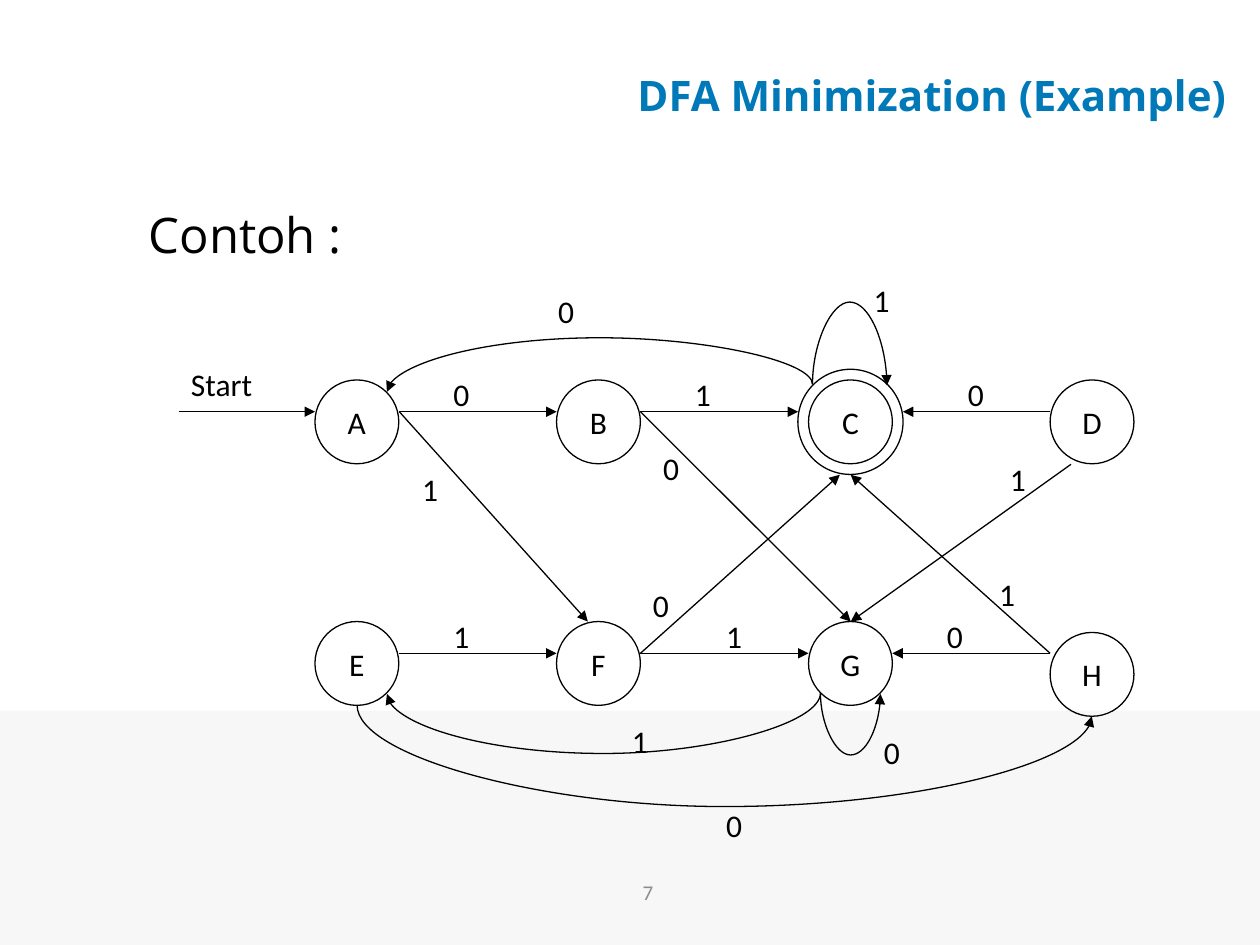
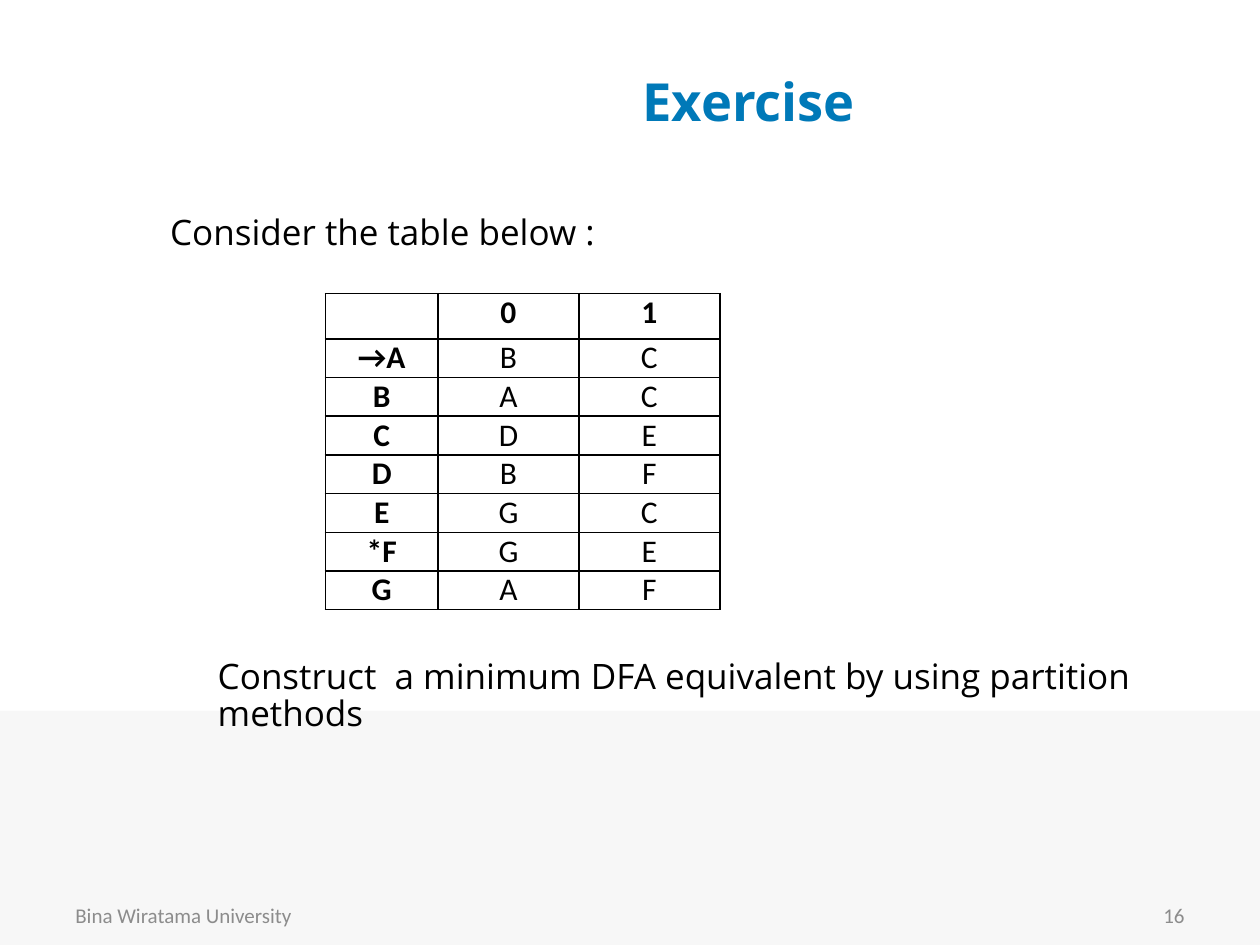
from lxml.etree import SubElement
from pptx import Presentation
from pptx.dml.color import RGBColor
from pptx.enum.shapes import MSO_CONNECTOR, MSO_SHAPE
from pptx.enum.text import MSO_ANCHOR, PP_ALIGN
from pptx.oxml.ns import qn
from pptx.util import Cm, Pt

# Shared look
BLACK = RGBColor(0x00, 0x00, 0x00)
BLUE = RGBColor(0x00, 0x79, 0xB8)
GREY = RGBColor(0x8C, 0x8C, 0x8C)
PALE = RGBColor(0xF7, 0xF7, 0xF7)
SLIDE_WIDTH, SLIDE_HEIGHT = 25.4, 19.05
BAND_TOP = 14.33
LABEL = {"name": "Calibri", "size": Pt(18), "color": BLACK}
FOOTER = {"name": "Calibri", "size": Pt(12), "color": GREY}
BODY = {"name": "Open Sans", "size": Pt(20), "color": BLACK}
TITLE = {"name": "Open Sans", "bold": True, "color": BLUE}

# Automaton: state name -> left, top of its circle (cm)
DIAMETER, RING = 1.69, 2.12
COLUMNS = (6.35, 11.22, 16.3, 21.17)
UPPER, LOWER = 7.66, 12.53
STATES = {name: (left, top)
          for names, top in (("ABCD", UPPER), ("EFGH", LOWER))
          for name, left in zip(names, COLUMNS)}
STATES["H"] = (COLUMNS[3], 12.75)
UPPER_LINE, LOWER_LINE = 8.3, 13.17

# Straight transitions: x1, y1, x2, y2
ARROWS = [
    (3.6, UPPER_LINE, 6.35, UPPER_LINE),
    (8.05, UPPER_LINE, 11.22, UPPER_LINE),
    (12.91, UPPER_LINE, 16.09, UPPER_LINE),
    (21.17, UPPER_LINE, 18.2, UPPER_LINE),
    (8.05, LOWER_LINE, 11.22, LOWER_LINE),
    (12.91, LOWER_LINE, 16.3, LOWER_LINE),
    (21.17, LOWER_LINE, 17.99, LOWER_LINE),
    (8.05, UPPER_LINE, 11.85, LOWER),
    (12.91, UPPER_LINE, 17.15, LOWER),
    (12.91, LOWER_LINE, 16.93, 9.57),
    (21.59, 9.36, 17.15, LOWER),
    (21.17, LOWER_LINE, 17.15, 9.57),
]
# Curved transitions: x1, y1, x2, y2, height of the turning point
CURVES = [
    (7.2, 14.22, 22.01, 14.44, 16.26),
    (16.54, 13.97, 7.8, 13.99, 15.19),
    (16.38, 7.75, 7.8, 7.9, 6.81),
    (16.38, 7.75, 17.88, 7.77, 6.09),
    (16.54, 13.97, 17.75, 13.99, 15.22),
]
# Transition labels: symbol -> left, top
SYMBOLS = {
    "0": [(11, 5.77), (8.89, 7.44), (19.26, 7.44), (13.12, 8.93),
          (12.91, 11.68), (14.39, 16.13), (17.57, 14.65), (18.84, 12.32)],
    "1": [(8.26, 9.36), (8.89, 12.32), (13.76, 7.44), (17.36, 5.55),
          (20.11, 9.14), (19.89, 11.47), (14.39, 12.32), (12.49, 14.44)],
}

# Transition table of the exercise
TRANSITIONS = [
    ("", "0", "1"),
    ("→A", "B", "C"),
    ("B", "A", "C"),
    ("C", "D", "E"),
    ("D", "B", "F"),
    ("E", "G", "C"),
    ("*F", "G", "E"),
    ("G", "A", "F"),
]
COLUMN_WIDTHS = (2.27, 2.84, 2.84)
HEADER_HEIGHT, ROW_HEIGHT = 0.91, 0.78


def write(frame, text, style, align=PP_ALIGN.LEFT, anchor=MSO_ANCHOR.TOP, spacing=None):
    frame.word_wrap = True
    frame.vertical_anchor = anchor
    paragraph = frame.paragraphs[0]
    paragraph.alignment = align
    paragraph.line_spacing = spacing
    run = paragraph.add_run()
    run.text = text
    for attribute, value in style.items():
        if attribute == "color":
            run.font.color.rgb = value
        else:
            setattr(run.font, attribute, value)


def add_text(slide, text, box, style, **layout):
    shape = slide.shapes.add_textbox(*map(Cm, box))
    write(shape.text_frame, text, style, **layout)


def add_slide(presentation, title, box, size, align):
    slide = presentation.slides.add_slide(presentation.slide_layouts[5])
    band = slide.shapes.add_shape(
        MSO_SHAPE.RECTANGLE, 0, Cm(BAND_TOP), Cm(SLIDE_WIDTH), Cm(SLIDE_HEIGHT - BAND_TOP))
    band.shadow.inherit = False
    band.fill.solid()
    band.fill.fore_color.rgb = PALE
    band.line.fill.background()
    heading = slide.shapes.title
    heading.left, heading.top, heading.width, heading.height = map(Cm, box)
    write(heading.text_frame, title, TITLE | {"size": Pt(size)}, align, MSO_ANCHOR.MIDDLE)
    return slide


def add_circle(slide, left, top, diameter, name=""):
    circle = slide.shapes.add_shape(
        MSO_SHAPE.OVAL, Cm(left), Cm(top), Cm(diameter), Cm(diameter))
    circle.shadow.inherit = False
    circle.fill.background()
    circle.line.color.rgb = BLACK
    circle.line.width = Pt(0.75)
    if name:
        write(circle.text_frame, name, LABEL, PP_ALIGN.CENTER, MSO_ANCHOR.MIDDLE)


def add_arrow(slide, kind, *ends):
    arrow = slide.shapes.add_connector(kind, *map(Cm, ends))
    arrow.line.color.rgb = BLACK
    arrow.line.width = Pt(0.75)
    properties = arrow.element.spPr
    SubElement(properties.find(qn("a:ln")), qn("a:tailEnd"), type="triangle")
    SubElement(properties, qn("a:effectLst"))
    return arrow


def add_curve(slide, x1, y1, x2, y2, turn):
    # A quarter turn makes the curve leave and arrive vertically
    length, span = y2 - y1, abs(x2 - x1)
    left, top = (x1 + x2 - length) / 2, (y1 + y2 - span) / 2
    curve = add_arrow(slide, MSO_CONNECTOR.CURVE, left, top, left + length, top + span)
    properties = curve.element.spPr
    frame = properties.find(qn("a:xfrm"))
    frame.set("rot", str(90 * 60000))
    if x2 > x1:
        frame.set("flipV", "1")
    geometry = properties.find(qn("a:prstGeom"))
    adjustments = geometry.find(qn("a:avLst"))
    if adjustments is None:
        adjustments = SubElement(geometry, qn("a:avLst"))
    ratio = round((turn - y1) / length * 100000)
    SubElement(adjustments, qn("a:gd"), name="adj1", fmla=f"val {ratio}")


def add_borders(cell):
    properties = cell._tc.get_or_add_tcPr()
    for position, side in enumerate(("lnL", "lnR", "lnT", "lnB")):
        line = SubElement(properties, qn(f"a:{side}"), w=str(Pt(1)))
        fill = SubElement(line, qn("a:solidFill"))
        SubElement(fill, qn("a:srgbClr"), val=str(BLACK))
        properties.insert(position, line)


def add_transition_table(slide, left, top):
    height = HEADER_HEIGHT + ROW_HEIGHT * (len(TRANSITIONS) - 1)
    table = slide.shapes.add_table(
        len(TRANSITIONS), len(COLUMN_WIDTHS),
        Cm(left), Cm(top), Cm(sum(COLUMN_WIDTHS)), Cm(height)).table
    for column, width in zip(table.columns, COLUMN_WIDTHS):
        column.width = Cm(width)
    for row_index, values in enumerate(TRANSITIONS):
        table.rows[row_index].height = Cm(ROW_HEIGHT if row_index else HEADER_HEIGHT)
        for column_index, value in enumerate(values):
            cell = table.cell(row_index, column_index)
            cell.margin_left = cell.margin_right = Cm(0.18)
            cell.margin_top = cell.margin_bottom = 0
            cell.fill.background()
            add_borders(cell)
            if value:
                bold = row_index == 0 or column_index == 0
                write(cell.text_frame, value, LABEL | {"bold": bold}, PP_ALIGN.CENTER)


def build_example(presentation):
    slide = add_slide(presentation, "DFA Minimization (Example)",
                      (8.47, 0.64, 16.5, 2.54), 24, PP_ALIGN.RIGHT)
    add_text(slide, "Contoh :", (2.75, 4.23, 18.62, 1.6),
             BODY | {"size": Pt(28)}, spacing=0.8)
    # States, with a ring around the accepting one
    for name, (left, top) in STATES.items():
        add_circle(slide, left, top, DIAMETER, name)
    left, top = STATES["C"]
    margin = (RING - DIAMETER) / 2
    add_circle(slide, left - margin, top - margin, RING)
    # Transitions and their symbols
    for ends in ARROWS:
        add_arrow(slide, MSO_CONNECTOR.STRAIGHT, *ends)
    for curve in CURVES:
        add_curve(slide, *curve)
    for symbol, places in SYMBOLS.items():
        for place in places:
            add_text(slide, symbol, (*place, 1.06, 1.02), LABEL)
    add_text(slide, "Start", (3.6, 7.23, 2.33, 1.02), LABEL)
    add_text(slide, "7", (9.04, 17.32, 8.05, 1.32), FOOTER,
             align=PP_ALIGN.CENTER, anchor=MSO_ANCHOR.MIDDLE)


def build_exercise(presentation):
    slide = add_slide(presentation, "Exercise",
                      (5.28, 0.43, 19.63, 3.18), 30, PP_ALIGN.CENTER)
    add_text(slide, "Consider the table below :", (3.18, 4.23, 20.95, 1.3),
             BODY, spacing=0.88)
    add_transition_table(slide, 6.56, 5.92)
    add_text(slide, "Construct  a minimum DFA equivalent by using partition methods",
             (4.14, 13.18, 19.99, 2.2), BODY, spacing=0.88)
    for text, left, align in (("Bina Wiratama University", 1.27, PP_ALIGN.LEFT),
                              ("16", 18.21, PP_ALIGN.RIGHT)):
        add_text(slide, text, (left, 17.93, 5.92, 1.02), FOOTER,
                 align=align, anchor=MSO_ANCHOR.MIDDLE)


def main():
    presentation = Presentation()
    presentation.slide_width, presentation.slide_height = Cm(SLIDE_WIDTH), Cm(SLIDE_HEIGHT)
    build_example(presentation)
    build_exercise(presentation)
    presentation.save("out.pptx")


if __name__ == "__main__":
    main()
